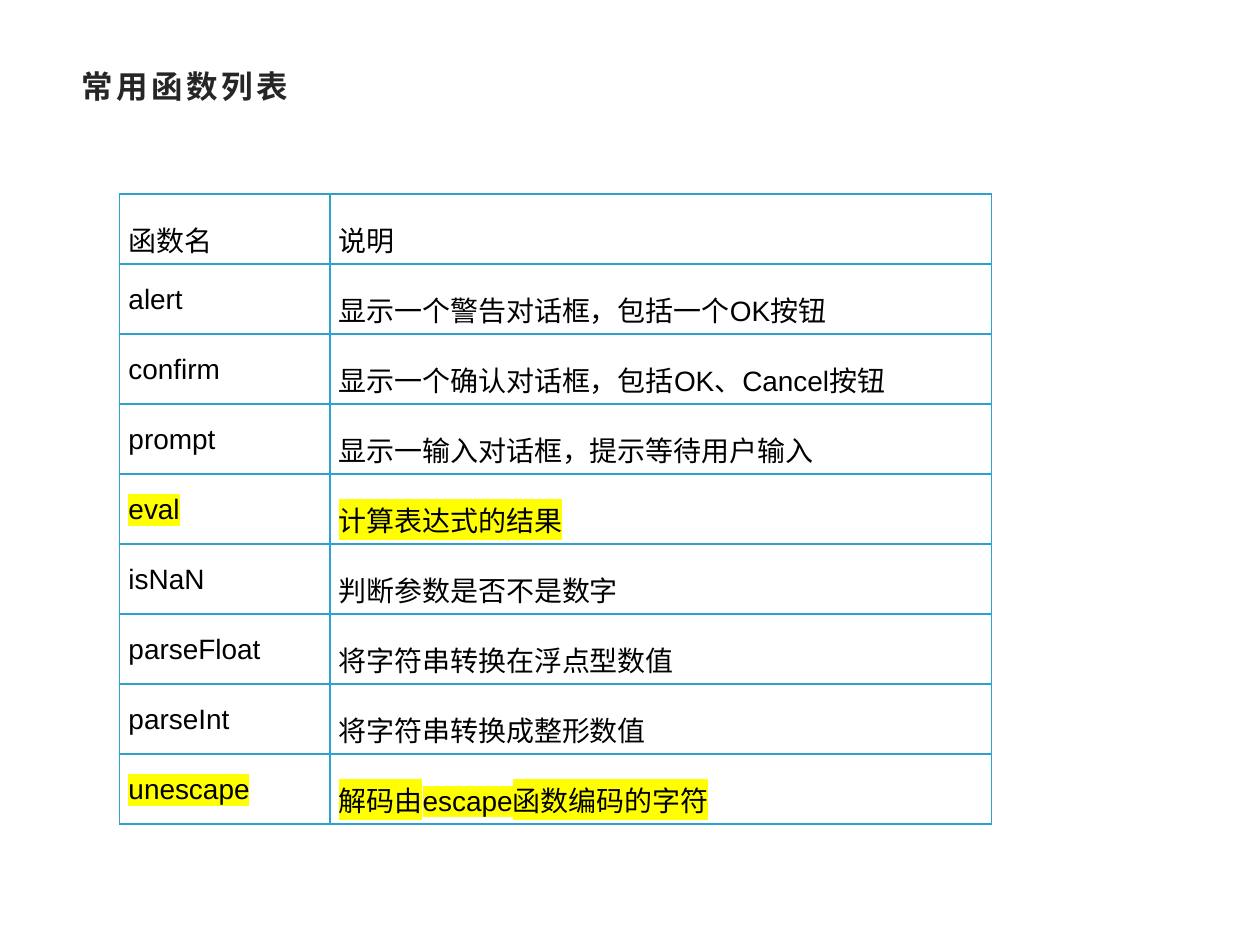
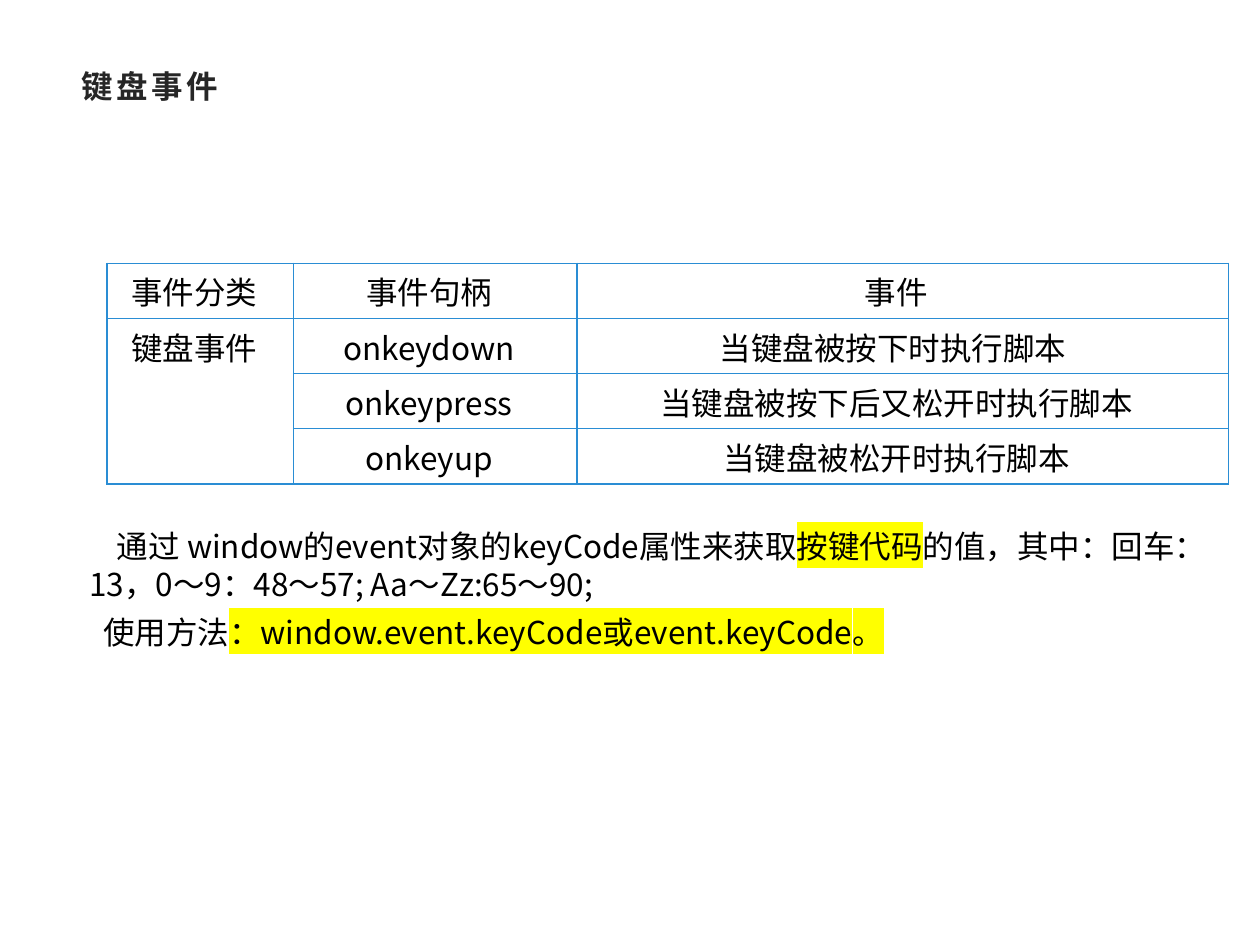
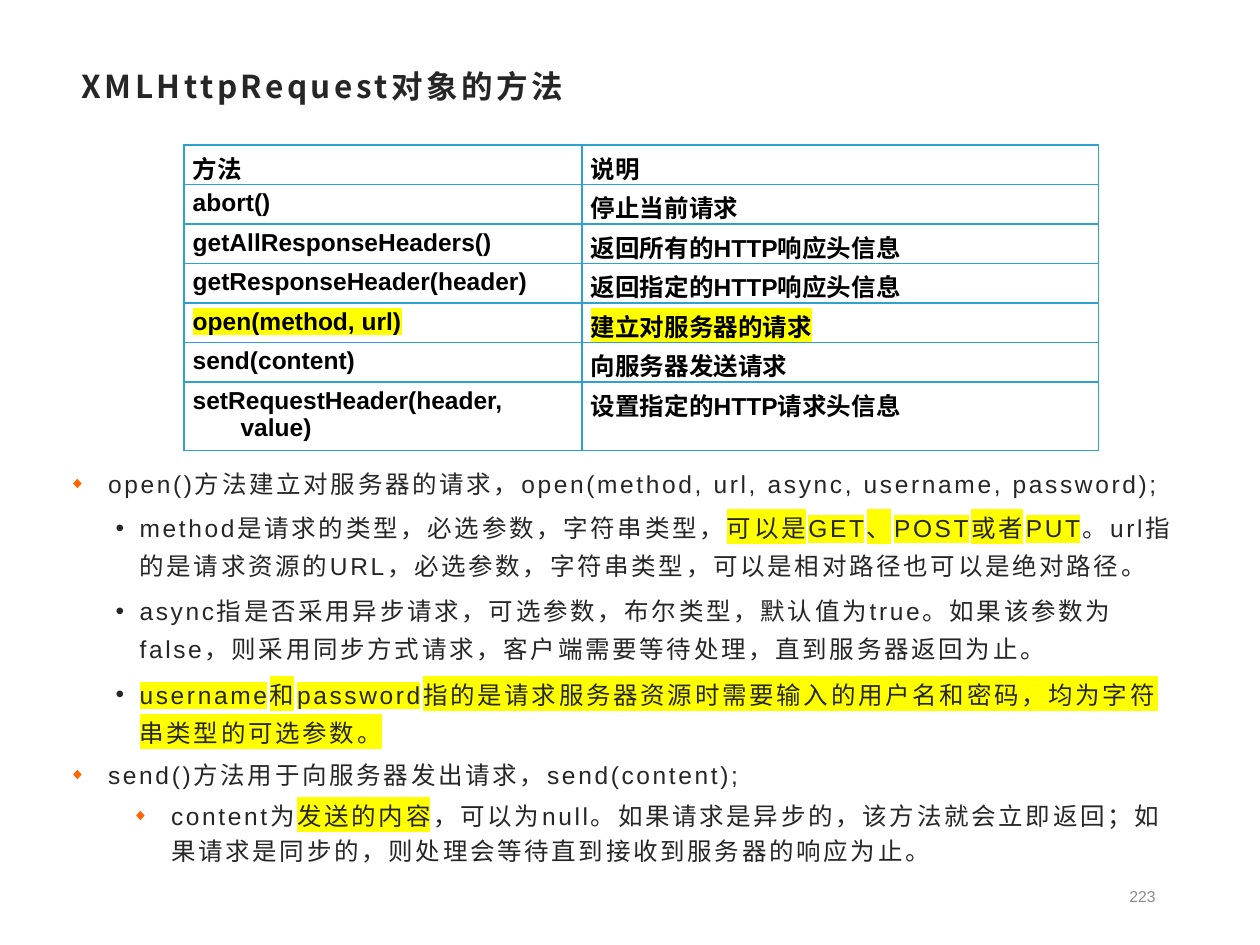
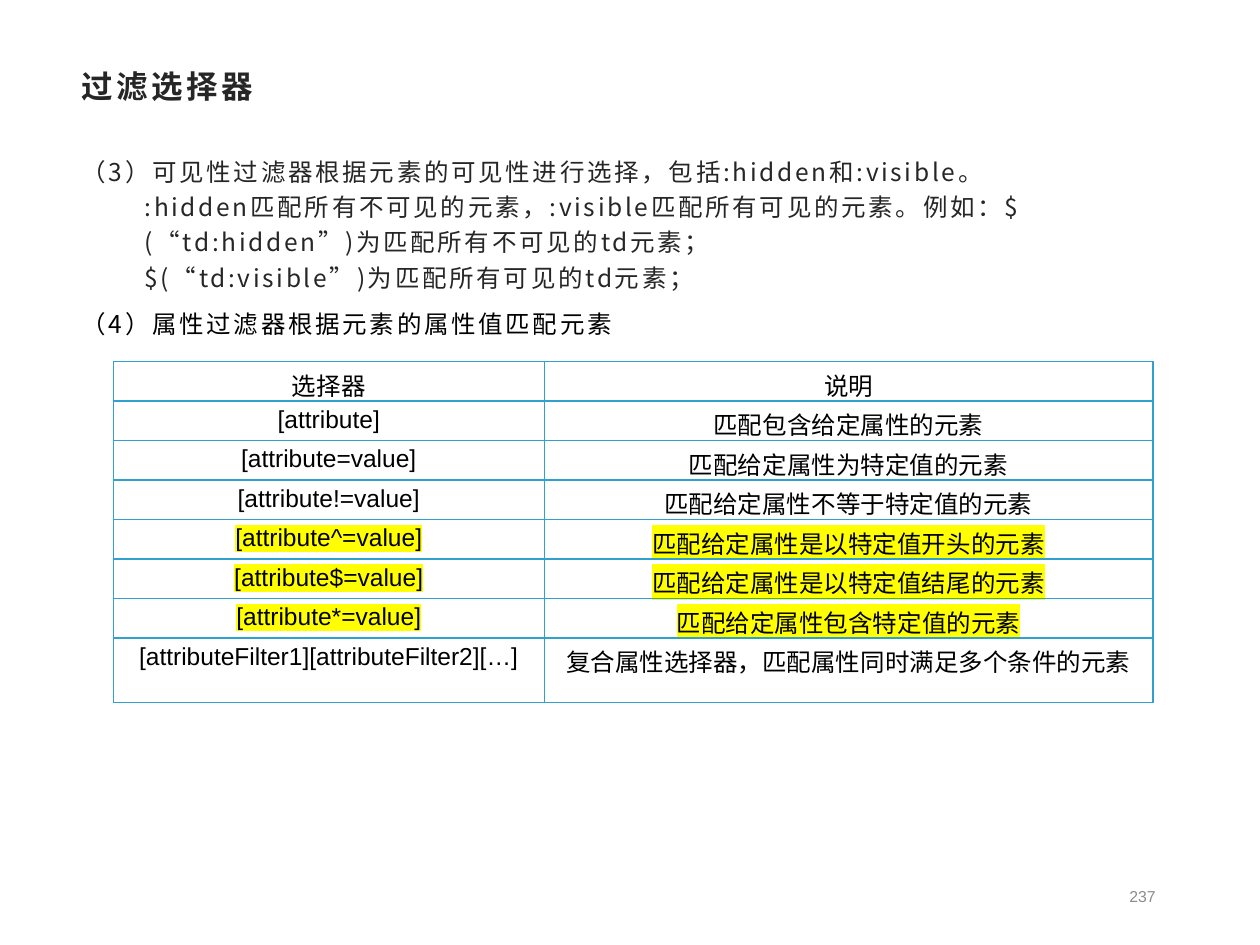
from lxml.etree import SubElement
from pptx import Presentation
from pptx.dml.color import RGBColor
from pptx.enum.shapes import MSO_SHAPE
from pptx.enum.text import MSO_ANCHOR as Anchor, PP_ALIGN as Align
from pptx.oxml import parse_xml
from pptx.oxml.ns import nsdecls, qn
from pptx.util import Inches, Pt

COLORS = {
    "title": "262626", "text": "000000", "number": "8C8C8C", "white": "FFFFFF",
    "teal": "2FA1CF", "blue": "2A8DD4", "bullet": "FF6600", "highlight": "FFFF00",
}
SANS, CJK = "Arial", "Noto Sans CJK SC"

# Content: text between two bars is highlighted
FUNCTIONS = [
    ("函数名", "说明"),
    ("alert", "显示一个警告对话框，包括一个OK按钮"),
    ("confirm", "显示一个确认对话框，包括OK、Cancel按钮"),
    ("prompt", "显示一输入对话框，提示等待用户输入"),
    ("|eval|", "|计算表达式的结果|"),
    ("isNaN", "判断参数是否不是数字"),
    ("parseFloat", "将字符串转换在浮点型数值"),
    ("parseInt", "将字符串转换成整形数值"),
    ("|unescape|", "|解码由escape函数编码的字符|"),
]
KEY_EVENTS = [
    ("事件分类", "事件句柄", "事件"),
    ("键盘事件", "onkeydown", "当键盘被按下时执行脚本 "),
    ("", "onkeypress", "当键盘被按下后又松开时执行脚本"),
    ("", "onkeyup", "当键盘被松开时执行脚本"),
]
KEY_CODE_NOTES = [
    ("通过 window的event对象的keyCode属性来获取|按键代码|的值，其中：回车：13，0～9：48～57; Aa～Zz:65～90;",
     {"first": 0.22, "after": 6}),
    ("使用方法|：window.event.keyCode或event.keyCode。|", {"first": 0.11}),
]
REQUEST_METHODS = [
    ("方法", "说明"),
    ("abort()", "停止当前请求"),
    ("getAllResponseHeaders()", "返回所有的HTTP响应头信息"),
    ("getResponseHeader(header)", "返回指定的HTTP响应头信息"),
    ("|open(method, url)|", "|建立对服务器的请求|"),
    ("send(content)", "向服务器发送请求"),
    ("setRequestHeader(header, value)", "设置指定的HTTP请求头信息"),
]
DIAMOND = {"left": 0.31, "first": -0.31, "spacing": 1.2, "after": 3, "bullet": "◆"}
DOT = {"level": 1, "left": 0.56, "first": -0.19, "spacing": 1.3, "after": 4, "bullet": "•"}
REQUEST_NOTES = [
    ("open()方法建立对服务器的请求，open(method, url, async, username, password);", DIAMOND),
    ("method是请求的类型，必选参数，字符串类型，|可以是GET、POST或者PUT|。"
     "url指的是请求资源的URL，必选参数，字符串类型，可以是相对路径也可以是绝对路径。", DOT),
    ("async指是否采用异步请求，可选参数，布尔类型，默认值为true。如果该参数为false，"
     "则采用同步方式请求，客户端需要等待处理，直到服务器返回为止。", DOT),
    ("|username和password指的是请求服务器资源时需要输入的用户名和密码，均为字符串类型的可选参数。|", DOT),
    ("send()方法用于向服务器发出请求，send(content);", DIAMOND),
    ("content为|发送的内容|，可以为null。如果请求是异步的，该方法就会立即返回；"
     "如果请求是同步的，则处理会等待直到接收到服务器的响应为止。",
     {**DIAMOND, "level": 1, "left": 0.81}),
]
EXAMPLE = {"level": 1, "left": 0.5, "spacing": 1.2}
FILTER_NOTES = [
    ("（3）可见性过滤器根据元素的可见性进行选择，包括:hidden和:visible。", {"spacing": 1.2}),
    (":hidden匹配所有不可见的元素，:visible匹配所有可见的元素。例如：$(“td:hidden”)为匹配所有不可见的td元素；", EXAMPLE),
    ("$(“td:visible”)为匹配所有可见的td元素；", EXAMPLE),
    ("（4）属性过滤器根据元素的属性值匹配元素", {"spacing": 1.2, "before": 6, "color": "text"}),
]
ATTRIBUTE_FILTERS = [
    ("选择器", "说明"),
    ("[attribute]", "匹配包含给定属性的元素"),
    ("[attribute=value]", "匹配给定属性为特定值的元素"),
    ("[attribute!=value]", "匹配给定属性不等于特定值的元素"),
    ("|[attribute^=value]|", "|匹配给定属性是以特定值开头的元素|"),
    ("|[attribute$=value]|", "|匹配给定属性是以特定值结尾的元素|"),
    ("|[attribute*=value]|", "|匹配给定属性包含特定值的元素|"),
    ("[attributeFilter1][attributeFilter2][…]", "复合属性选择器，匹配属性同时满足多个条件的元素"),
]


def rgb(name):
    return RGBColor.from_string(COLORS[name])


# Text
def format_run(run, size, font=SANS, color="text", bold=False, tracking=0, highlighted=False):
    run.font.size, run.font.name, run.font.bold = Pt(size), font, bold
    run.font.color.rgb = rgb(color)
    properties = run.font._element
    latin = properties.find(qn("a:latin"))
    latin.addnext(parse_xml(f'<a:ea {nsdecls("a")} typeface="{CJK}"/>'))
    if highlighted:
        latin.addprevious(parse_xml(
            f'<a:highlight {nsdecls("a")}><a:srgbClr val="{COLORS["highlight"]}"/></a:highlight>'))
    if tracking:
        properties.set("spc", str(int(tracking * 100)))


def add_bullet(paragraph, character):
    properties = paragraph._p.get_or_add_pPr()
    if character == "◆":
        color = SubElement(properties, qn("a:buClr"))
        SubElement(color, qn("a:srgbClr"), val=COLORS["bullet"])
        SubElement(properties, qn("a:buSzPct"), val="68000")
    SubElement(properties, qn("a:buFont"), typeface=SANS)
    SubElement(properties, qn("a:buChar"), char=character)


def write_paragraph(paragraph, text, layout, **style):
    paragraph.alignment = layout.get("align", Align.LEFT)
    paragraph.level = layout.get("level", 0)
    paragraph.line_spacing = layout.get("spacing", 1.0)
    paragraph.space_before = Pt(layout.get("before", 0))
    paragraph.space_after = Pt(layout.get("after", 0))
    properties = paragraph._p.get_or_add_pPr()
    properties.set("marL", str(Inches(layout.get("left", 0))))
    properties.set("indent", str(Inches(layout.get("first", 0))))
    if "bullet" in layout:
        add_bullet(paragraph, layout["bullet"])
    if "color" in layout:
        style["color"] = layout["color"]
    for index, part in enumerate(text.split("|")):
        if part:
            run = paragraph.add_run()
            run.text = part
            format_run(run, highlighted=index % 2 == 1, **style)


def fill_frame(text_frame, paragraphs, anchor=Anchor.TOP, **style):
    text_frame.word_wrap = True
    text_frame.vertical_anchor = anchor
    for index, (text, layout) in enumerate(paragraphs):
        paragraph = text_frame.add_paragraph() if index else text_frame.paragraphs[0]
        write_paragraph(paragraph, text, layout, **style)


def add_text(slide, box, paragraphs, **style):
    shape = slide.shapes.add_textbox(*map(Inches, box))
    fill_frame(shape.text_frame, paragraphs, **style)


# Shared slide parts
def add_slide(presentation, title, title_font=SANS, number=None):
    slide = presentation.slides.add_slide(presentation.slide_layouts[6])
    add_text(slide, (0.55, 0.48, 8.9, 0.48), [(title, {})],
             size=18, font=title_font, color="title", bold=True, tracking=2)
    if number:
        add_text(slide, (7.06, 6.94, 2.21, 0.35), [(number, {"align": Align.RIGHT})],
                 anchor=Anchor.MIDDLE, size=9, color="number")
    return slide


# Tables
def add_borders(cell, color):
    properties = cell._tc.get_or_add_tcPr()
    for index, side in enumerate("LRTB"):
        properties.insert(index, parse_xml(
            f'<a:ln{side} {nsdecls("a")} w="{Pt(1)}"><a:solidFill>'
            f'<a:srgbClr val="{COLORS[color]}"/></a:solidFill></a:ln{side}>'))


def add_grid(slide, corner, columns, heights, rows, layout,
             insets=(0.07, 0.04, 0.07, 0.04), border="teal", **style):
    frame = slide.shapes.add_table(len(rows), len(columns), *map(Inches, corner),
                                   Inches(sum(columns)), Inches(sum(heights)))
    table = frame.table
    table.first_row = table.horz_banding = False
    for column, width in zip(table.columns, columns):
        column.width = Inches(width)
    for row, height, texts in zip(table.rows, heights, rows):
        row.height = Inches(height)
        for cell, text in zip(row.cells, texts):
            (cell.margin_left, cell.margin_top,
             cell.margin_right, cell.margin_bottom) = map(Inches, insets)
            add_borders(cell, border)
            cell.fill.background()
            write_paragraph(cell.text_frame.paragraphs[0], text, layout, **style)
    return table


HANGING = {"left": 0.38, "first": -0.38}


def build_functions(presentation):
    slide = add_slide(presentation, "常用函数列表")
    row_count = len(FUNCTIONS)
    add_grid(slide, (0.95, 1.54), (1.67, 5.25), [5 / row_count] * row_count, FUNCTIONS,
             {**HANGING, "spacing": 1.5}, size=16)


def build_key_events(presentation):
    slide = add_slide(presentation, "键盘事件")
    row_count = len(KEY_EVENTS)
    table = add_grid(slide, (0.85, 2.09), (1.48, 2.25, 5.17), [1.75 / row_count] * row_count,
                     KEY_EVENTS, {"align": Align.CENTER}, (0, 0.04, 0.1, 0.04), border="blue",
                     size=18, font=CJK)
    table.cell(1, 0).merge(table.cell(3, 0))

    # Key code note
    note = slide.shapes.add_shape(MSO_SHAPE.RECTANGLE, *map(Inches, (0.61, 4.13, 9.22, 1.09)))
    note.shadow.inherit = False
    note.fill.solid()
    note.fill.fore_color.rgb = note.line.color.rgb = rgb("white")
    note.line.width = Pt(3)
    fill_frame(note.text_frame, KEY_CODE_NOTES, anchor=Anchor.MIDDLE, size=18, font=CJK)


def build_request_methods(presentation):
    slide = add_slide(presentation, "XMLHttpRequest对象的方法", CJK, "223")
    add_text(slide, (0.45, 3.63, 9, 3.32), REQUEST_NOTES, size=14, color="title", tracking=1.5)
    add_grid(slide, (1.46, 1.15), (3.16, 4.1), [0.31] * 6 + [0.54], REQUEST_METHODS,
             HANGING, size=14, bold=True)


def build_filters(presentation):
    slide = add_slide(presentation, "过滤选择器", number="237")
    add_text(slide, (0.55, 1.15, 9, 1.6), FILTER_NOTES, size=14, font=CJK,
             color="title", tracking=1.5)
    add_grid(slide, (0.9, 2.87), (3.42, 4.83), [0.31] * 7 + [0.51], ATTRIBUTE_FILTERS,
             {**HANGING, "align": Align.CENTER}, size=14)


def main():
    presentation = Presentation()
    presentation.slide_width, presentation.slide_height = Inches(10), Inches(7.5)
    for build in (build_functions, build_key_events, build_request_methods, build_filters):
        build(presentation)
    presentation.save("out.pptx")


if __name__ == "__main__":
    main()
